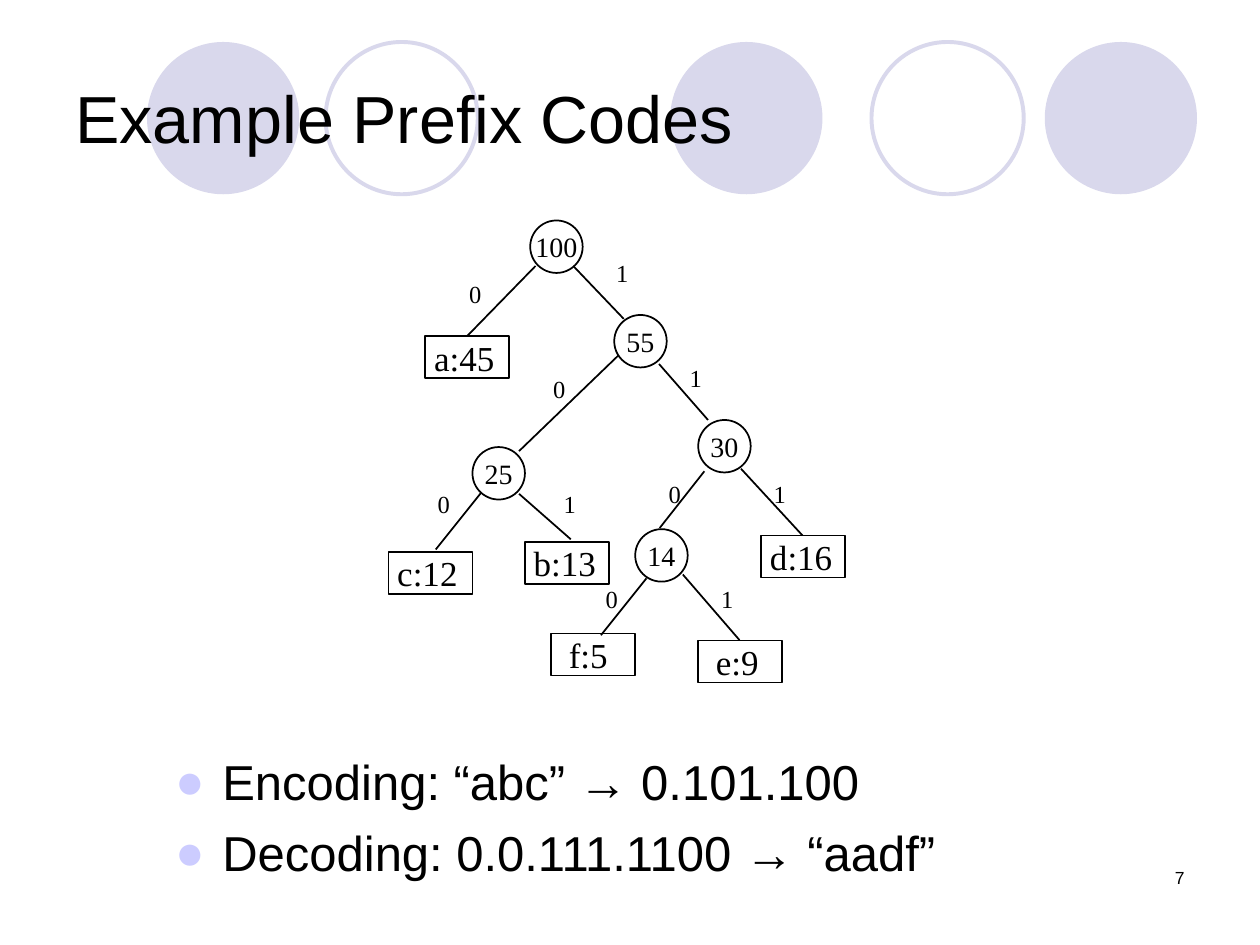
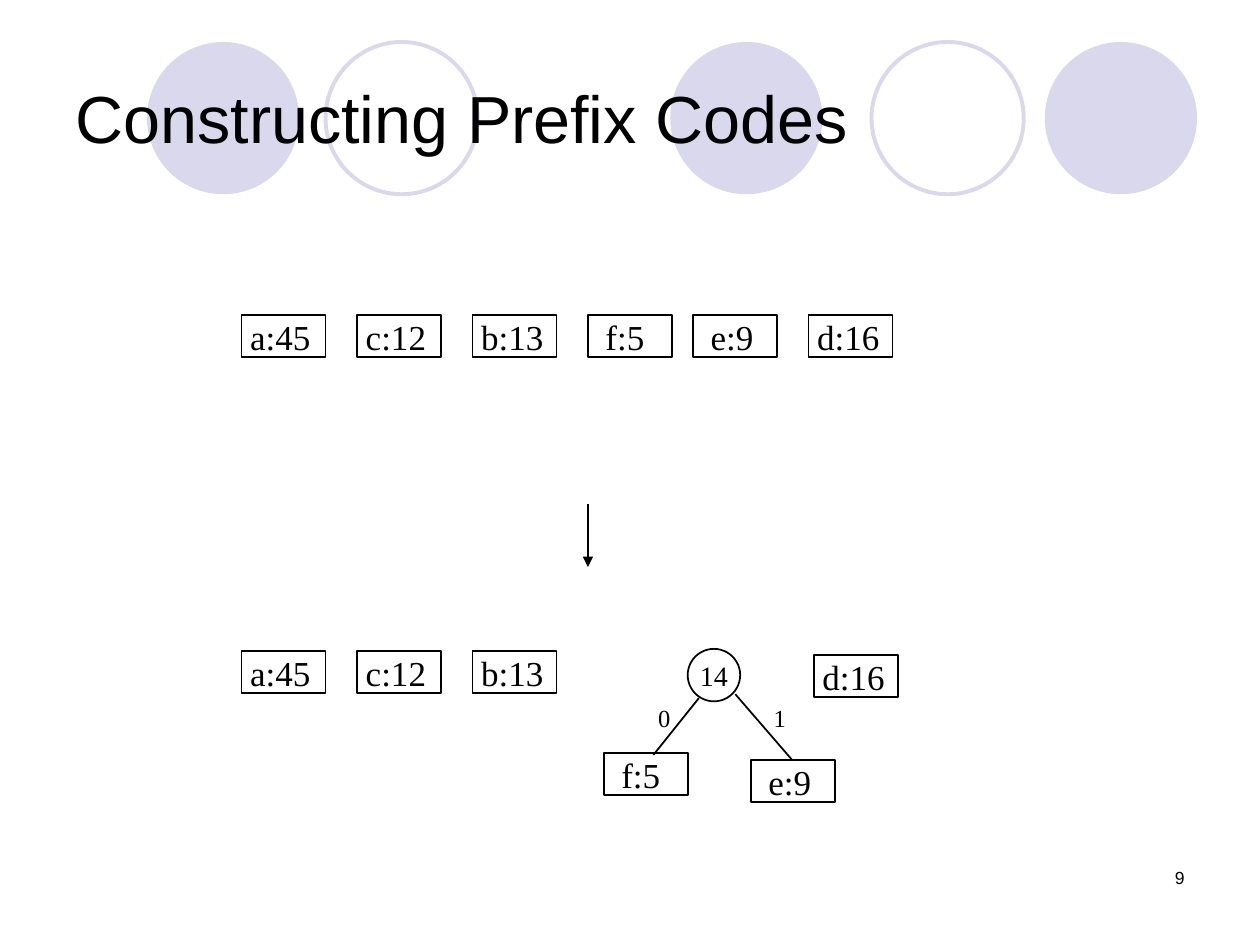
from lxml.etree import SubElement
from pptx import Presentation
from pptx.dml.color import RGBColor
from pptx.enum.shapes import MSO_CONNECTOR, MSO_SHAPE
from pptx.enum.text import MSO_ANCHOR, PP_ALIGN
from pptx.oxml.ns import qn
from pptx.util import Pt

BLACK = RGBColor(0x00, 0x00, 0x00)
LAVENDER = RGBColor(0xD9, 0xD8, 0xEC)
BULLET = "CCCCFF"
SANS = "Arial"
SERIF = "Times New Roman"

CIRCLES = [(383, True), (597, True), (84, True), (498, False), (186, False)]
CIRCLE_TOP, CIRCLE_SIZE = 24, 87
NODE_SIZE = 30
LEAF_W, LEAF_H = 48, 24
BIT_W, BIT_H = 36, 24.5


def add_shape(s, kind, x, y, w, h, line=BLACK, width=1, fill=None):
    sp = s.shapes.add_shape(kind, Pt(x), Pt(y), Pt(w), Pt(h))
    sp.shadow.inherit = False
    if fill is None:
        sp.fill.background()
        sp.line.color.rgb = line
        sp.line.width = Pt(width)
    else:
        sp.fill.solid()
        sp.fill.fore_color.rgb = fill
        sp.line.fill.background()
    return sp


def set_text(sp, text, size, font, align=PP_ALIGN.LEFT, anchor=MSO_ANCHOR.TOP, margins=None):
    tf = sp.text_frame
    tf.text = text
    tf.word_wrap = margins is None
    tf.vertical_anchor = anchor
    if margins is not None:
        tf.margin_left = Pt(margins)
        tf.margin_right = tf.margin_top = tf.margin_bottom = 0
    for p in tf.paragraphs:
        p.alignment = align
        for r in p.runs:
            r.font.size = Pt(size)
            r.font.name = font
            r.font.color.rgb = BLACK
    return tf


sub_nodes = [("14", 363, 302.4)]
sub_leaves = [("f:5", 315, 362), ("e:9", 399, 366)]
sub_edges = [(369.4, 330.5, 343.4, 363), (390.2, 328.3, 422.6, 365.8)]
sub_bits = [("0", 339, 330), ("1", 405, 330)]
dx, dy = 30, 68.4

code_tree = {
    "nodes": [("100", 303, 126), ("55", 351, 180), ("25", 270, 255.5), ("30", 399, 240)] + sub_nodes,
    "leaves": [("a:45", 243, 192), ("c:12", 222, 315.4), ("b:13", 300, 309.6),
               ("d:16", 435, 306)] + sub_leaves,
    "edges": [(306, 152, 267, 192), (327.6, 152, 356.4, 182.2),
              (353.5, 203, 296.6, 257.8), (376.6, 208, 404.6, 240),
              (275, 281.5, 249, 314), (296.6, 282.2, 326.2, 308.2),
              (402.5, 269.3, 377, 301.7), (423.4, 267.8, 458.6, 306)] + sub_edges,
    "bits": [("0", 261, 156), ("1", 345, 144), ("0", 309, 210), ("1", 387, 204),
             ("0", 243, 276), ("1", 315, 276), ("0", 375, 270), ("1", 435, 270)] + sub_bits,
    "arrows": [],
}

row = list(zip(["a:45", "c:12", "b:13", "f:5", "e:9", "d:16"], [138, 204, 270, 336, 396, 462]))
first_merge = {
    "nodes": [(t, x + dx, y + dy) for t, x, y in sub_nodes],
    "leaves": [(t, x, 180) for t, x in row] + [(t, x, 372) for t, x in row[:3]]
    + [("d:16", 465, 374.4)] + [(t, x + dx, y + dy) for t, x, y in sub_leaves],
    "edges": [(x1 + dx, y1 + dy, x2 + dx, y2 + dy) for x1, y1, x2, y2 in sub_edges],
    "bits": [(t, x + dx, y + dy) for t, x, y in sub_bits],
    "arrows": [(336, 288, 336, 324)],
}

slides = [
    ("Example Prefix Codes", "7", code_tree,
     ["Encoding: “abc” → 0.101.100", "Decoding: 0.0.111.1100 → “aadf”"]),
    ("Constructing Prefix Codes", "9", first_merge, []),
]

prs = Presentation()
prs.slide_width, prs.slide_height = Pt(720), Pt(540)

for title, number, diagram, points in slides:
    s = prs.slides.add_slide(prs.slide_layouts[6])

    for x, filled in CIRCLES:
        add_shape(s, MSO_SHAPE.OVAL, x, CIRCLE_TOP, CIRCLE_SIZE, CIRCLE_SIZE,
                  LAVENDER, 2.25, LAVENDER if filled else None)
    sp = s.shapes.add_textbox(Pt(516), Pt(492), Pt(168), Pt(36))
    set_text(sp, number, 10, SANS, PP_ALIGN.RIGHT)
    sp = s.shapes.add_textbox(Pt(36), Pt(21.6), Pt(648), Pt(90))
    set_text(sp, title, 38, SANS, anchor=MSO_ANCHOR.MIDDLE)

    for text, x, y in diagram["nodes"]:
        sp = add_shape(s, MSO_SHAPE.OVAL, x, y, NODE_SIZE, NODE_SIZE)
        set_text(sp, text, 16, SERIF, PP_ALIGN.CENTER, MSO_ANCHOR.MIDDLE, 0)

    for text, x, y in diagram["leaves"]:
        sp = add_shape(s, MSO_SHAPE.RECTANGLE, x, y, LEAF_W, LEAF_H)
        set_text(sp, text, 20, SERIF, margins=5 if len(text) == 4 else 10)

    for ends in diagram["edges"] + diagram["arrows"]:
        cn = s.shapes.add_connector(MSO_CONNECTOR.STRAIGHT, *[Pt(v) for v in ends])
        cn.line.color.rgb = BLACK
        cn.line.width = Pt(1)
        if ends in diagram["arrows"]:
            cn.line.width = Pt(1.5)
            SubElement(cn.line._get_or_add_ln(), qn("a:tailEnd"), type="triangle")
        SubElement(cn._element.spPr, qn("a:effectLst"))

    for text, x, y in diagram["bits"]:
        sp = s.shapes.add_textbox(Pt(x), Pt(y), Pt(BIT_W), Pt(BIT_H))
        set_text(sp, text, 14, SERIF)

    if points:
        sp = s.shapes.add_textbox(Pt(93), Pt(426), Pt(615), Pt(96))
        tf = set_text(sp, "\n".join(points), 28, SANS)
        for p in tf.paragraphs:
            p.space_before = Pt(7)
            pPr = p._p.get_or_add_pPr()
            pPr.set("marL", str(Pt(27)))
            pPr.set("indent", str(Pt(-27)))
            color = SubElement(pPr, qn("a:buClr"))
            SubElement(color, qn("a:srgbClr"), val=BULLET)
            SubElement(pPr, qn("a:buFont"), typeface=SANS)
            SubElement(pPr, qn("a:buChar"), char="●")

prs.save("out.pptx")
